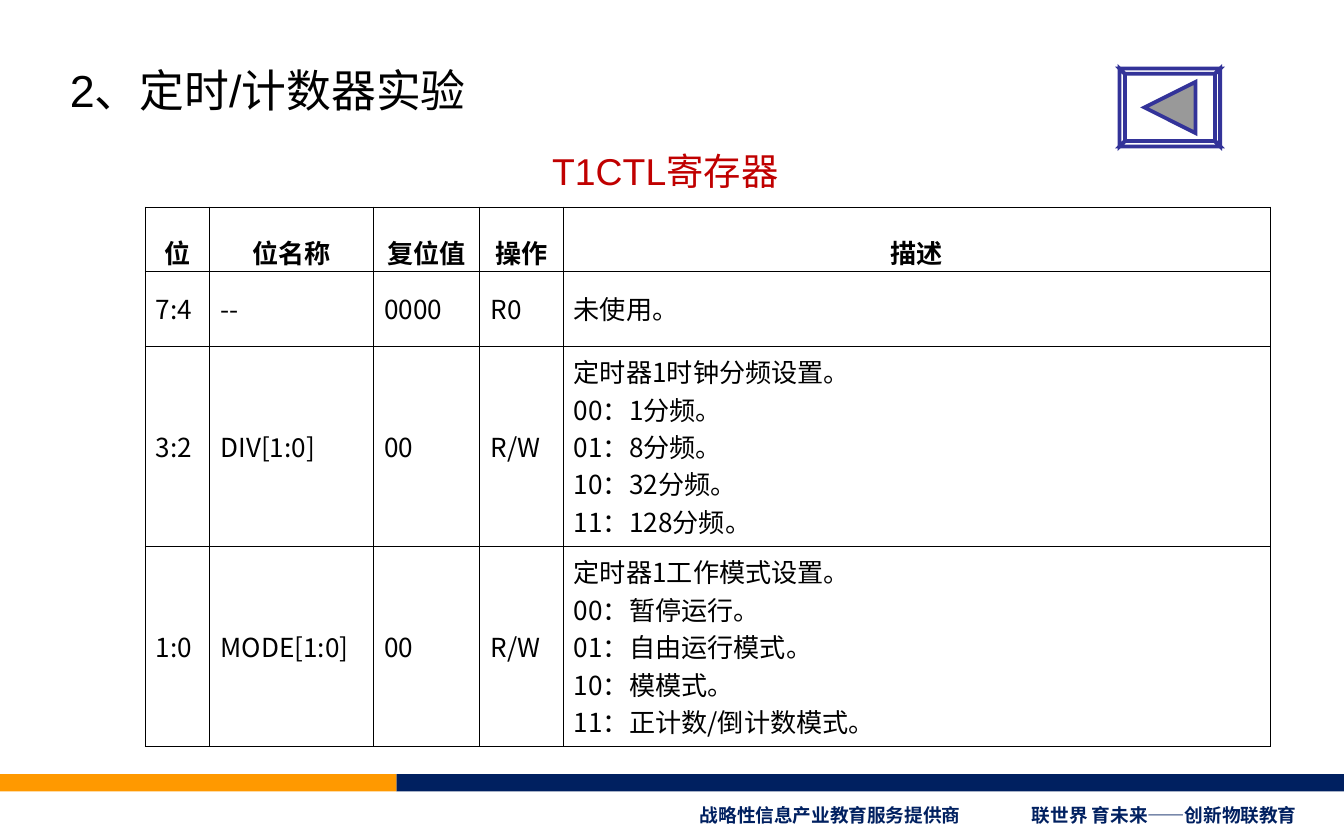
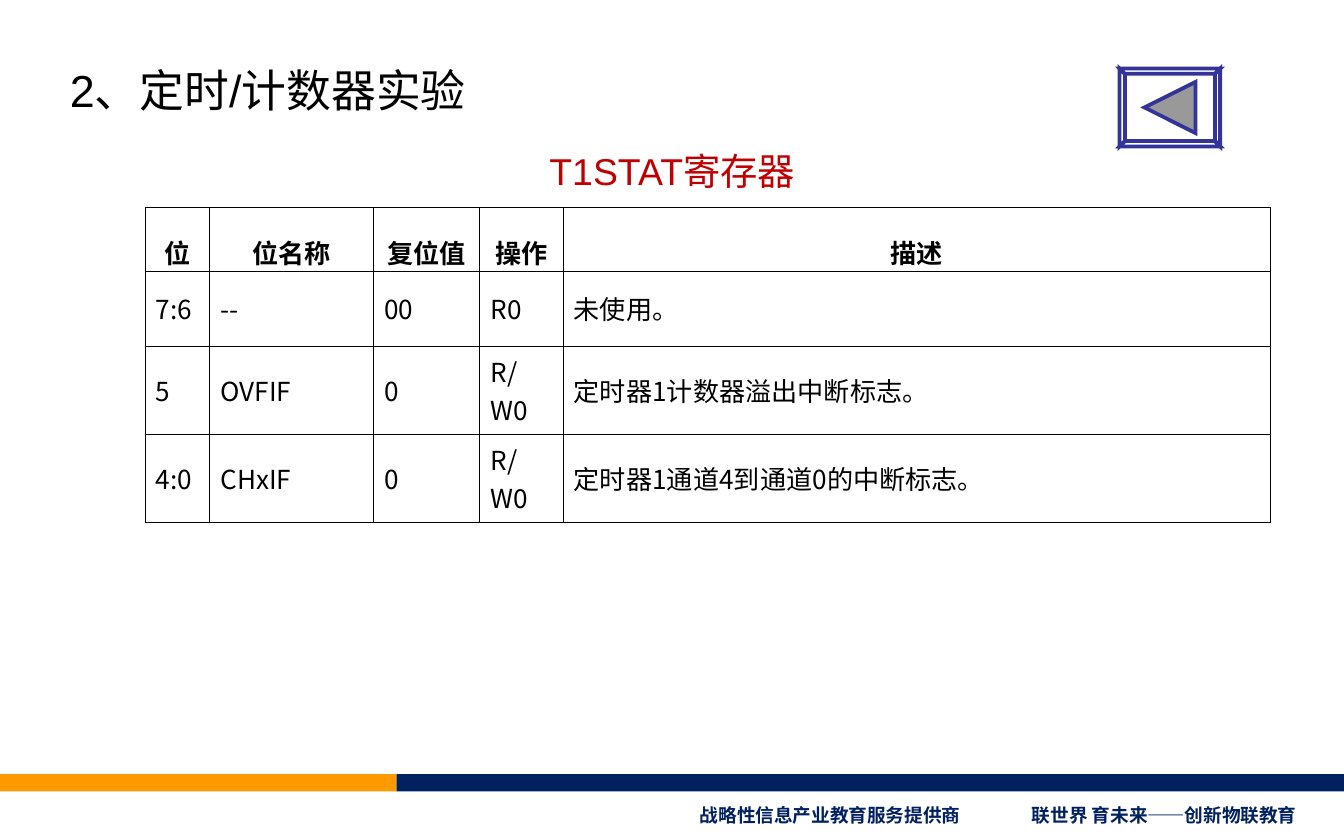
from lxml import etree
from pptx import Presentation
from pptx.dml.color import RGBColor
from pptx.enum.shapes import MSO_SHAPE
from pptx.enum.text import MSO_ANCHOR, PP_ALIGN
from pptx.oxml import parse_xml
from pptx.oxml.ns import nsdecls, qn
from pptx.util import Inches, Pt

RECTANGLE = MSO_SHAPE.RECTANGLE
TOP, MIDDLE = MSO_ANCHOR.TOP, MSO_ANCHOR.MIDDLE
LEFT, CENTER, JUSTIFY = PP_ALIGN.LEFT, PP_ALIGN.CENTER, PP_ALIGN.JUSTIFY

NAVY = RGBColor(0x00, 0x20, 0x60)
ORANGE = RGBColor(0xFF, 0x99, 0x00)
RED = RGBColor(0xC0, 0x00, 0x00)
INDIGO = RGBColor(0x33, 0x33, 0x99)
GRAY = RGBColor(0x99, 0x99, 0x99)
WHITE = RGBColor(0xFF, 0xFF, 0xFF)
BLACK = RGBColor(0x00, 0x00, 0x00)
LATIN_FONT = "Arial"
CHINESE_FONT = "Noto Sans CJK SC"

TITLE = "2、定时/计数器实验"
HEADINGS = ("位", "位名称", "复位值", "操作", "描述")
COLUMN_WIDTHS = (0.48, 1.22, 0.79, 0.62, 5.26)
HEADING_HEIGHT = 0.35

# Each register: caption, caption left and width, row heights, rows
REGISTERS = (
    ("T1CTL寄存器", 4.01, 1.95, (0.56, 1.39, 1.39), (
        ("7:4", "--", "0000", "R0", "未使用。"),
        ("3:2", "DIV[1:0]", "00", "R/W",
         "定时器1时钟分频设置。\n00：1分频。\n01：8分频。\n10：32分频。\n11：128分频。"),
        ("1:0", "MODE[1:0]", "00", "R/W",
         "定时器1工作模式设置。\n00：暂停运行。\n01：自由运行模式。\n10：模模式。\n"
         "11：正计数/倒计数模式。"),
    )),
    ("T1STAT寄存器", 3.99, 2.14, (0.56, 0.56, 0.56), (
        ("7:6", "--", "00", "R0", "未使用。"),
        ("5", "OVFIF", "0", "R/W0", "定时器1计数器溢出中断标志。"),
        ("4:0", "CHxIF", "0", "R/W0", "定时器1通道4到通道0的中断标志。"),
    )),
)


def format_paragraph(para, name, size, color, bold=False, align=LEFT, spacing=None):
    para.alignment = align
    if spacing is not None:
        para.line_spacing = spacing
    para.font.name = name
    para.font.size = Pt(size)
    para.font.bold = bold
    para.font.color.rgb = color


def add_text(page, left, top, width, height, text):
    box = page.shapes.add_textbox(Inches(left), Inches(top), Inches(width), Inches(height))
    box.text_frame.word_wrap = False
    box.text_frame.text = text
    return box


def add_band(page, left, top, width, height, color):
    band = page.shapes.add_shape(
        RECTANGLE, Inches(left), Inches(top), Inches(width), Inches(height))
    band.shadow.inherit = False
    band.fill.solid()
    band.fill.fore_color.rgb = color
    band.line.fill.background()
    return band


def add_footer(page, top=5.76, split=2.95):
    """Draw the two bands and the slogans, and return them."""
    navy_band = add_band(page, split, top, 10 - split, 0.13, NAVY)
    slogans = add_text(page, 5.11, top + 0.17, 4.64, 0.27,
                       "战略性信息产业教育服务提供商\t联世界 育未来——创新物联教育")
    slogans.text_frame.vertical_anchor = MIDDLE
    para = slogans.text_frame.paragraphs[0]
    tabs = etree.SubElement(para._p.get_or_add_pPr(), qn("a:tabLst"))
    etree.SubElement(tabs, qn("a:tab"), pos=str(Inches(2.47)), algn="l")
    format_paragraph(para, CHINESE_FONT, 10, NAVY, bold=True)
    orange_band = add_band(page, 0, top, split, 0.13, ORANGE)
    return navy_band, slogans, orange_band


def move_to_layout(shapes, layout):
    """Make the shapes part of the layout, in place of its unused fields."""
    for placeholder in list(layout.placeholders)[1:]:
        layout.shapes.element.remove(placeholder.element)
    for shape in shapes:
        layout.shapes.element.append(shape.element)


def set_title(page):
    title = page.shapes.title
    title.left, title.top = Inches(0.42), Inches(0.26)
    title.width, title.height = Inches(5.25), Inches(0.66)
    title.text_frame.text = TITLE
    title.text_frame.vertical_anchor = TOP
    format_paragraph(title.text_frame.paragraphs[0], LATIN_FONT, 24, BLACK, spacing=Pt(40))


def add_outline(page, contours, color):
    """Draw closed contours, given in inches, as one mitred shape."""
    builder = None
    for contour in contours:
        start, *others = [(Inches(x), Inches(y)) for x, y in contour]
        if builder is None:
            builder = page.shapes.build_freeform(*start)
        else:
            builder.move_to(*start)
        builder.add_line_segments(others, close=True)
    outline = builder.convert_to_shape()
    outline.shadow.inherit = False
    outline.fill.solid()
    outline.fill.fore_color.rgb = color
    outline.line.color.rgb = INDIGO
    outline.line.width = Pt(2)
    etree.SubElement(outline.line._get_or_add_ln(), qn("a:miter"), lim="800000")


def add_back_button(page, left, top, width, height):
    def corners(inset):
        right, bottom = left + width - inset, top + height - inset
        return [(left + inset, top + inset), (right, top + inset),
                (right, bottom), (left + inset, bottom)]

    outer, inner = corners(0), corners(0.04)
    facets = [(outer[i], outer[(i + 1) % 4], inner[(i + 1) % 4], inner[i])
              for i in range(4)]
    add_outline(page, [outer, *facets], WHITE)
    center_x, center_y, reach = left + width / 2, top + height / 2, 0.19
    add_outline(page, [[(center_x - reach, center_y),
                        (center_x + reach, center_y - reach),
                        (center_x + reach, center_y + reach)]], GRAY)


def add_borders(cell):
    properties = cell._tc.get_or_add_tcPr()
    for side in ("lnL", "lnR", "lnT", "lnB"):
        properties.append(parse_xml(
            f'<a:{side} {nsdecls("a")} w="{Pt(0.45)}"><a:solidFill>'
            f'<a:srgbClr val="{BLACK}"/></a:solidFill></a:{side}>'))


def fill_cell(cell, text, is_heading):
    cell.text = text
    cell.vertical_anchor = MIDDLE
    cell.margin_left = cell.margin_right = Inches(0.08)
    cell.margin_top = Inches(0.05)
    cell.margin_bottom = Inches(0 if is_heading else 0.05)
    add_borders(cell)
    cell.fill.background()
    for para in cell.text_frame.paragraphs:
        format_paragraph(para, CHINESE_FONT, 14, BLACK, bold=is_heading,
                         align=CENTER if is_heading else JUSTIFY,
                         spacing=1.5 if is_heading else Pt(20))


def add_register_table(page, left, top, row_heights, rows):
    heights = (HEADING_HEIGHT, *row_heights)
    table = page.shapes.add_table(
        len(heights), len(HEADINGS), Inches(left), Inches(top),
        Inches(sum(COLUMN_WIDTHS)), Inches(sum(heights))).table
    table.first_row = table.horz_banding = False
    for column, width in zip(table.columns, COLUMN_WIDTHS):
        column.width = Inches(width)
    for row_index, texts in enumerate((HEADINGS, *rows)):
        table.rows[row_index].height = Inches(heights[row_index])
        for column_index, text in enumerate(texts):
            fill_cell(table.cell(row_index, column_index), text, row_index == 0)


def add_register_page(page, caption, caption_left, caption_width, row_heights, rows):
    set_title(page)
    add_register_table(page, 1.08, 1.54, row_heights, rows)
    caption_box = add_text(page, caption_left, 1.05, caption_width, 0.44, caption)
    format_paragraph(caption_box.text_frame.paragraphs[0], LATIN_FONT, 20, RED)
    add_back_button(page, 8.33, 0.51, 0.75, 0.58)


def main():
    deck = Presentation()
    deck.slide_width, deck.slide_height = Inches(10), Inches(6.25)
    layout = deck.slide_layouts[5]
    pages = [deck.slides.add_slide(layout) for _ in REGISTERS]
    move_to_layout(add_footer(pages[0]), layout)
    for page, register in zip(pages, REGISTERS):
        add_register_page(page, *register)
    deck.save("out.pptx")


if __name__ == "__main__":
    main()
